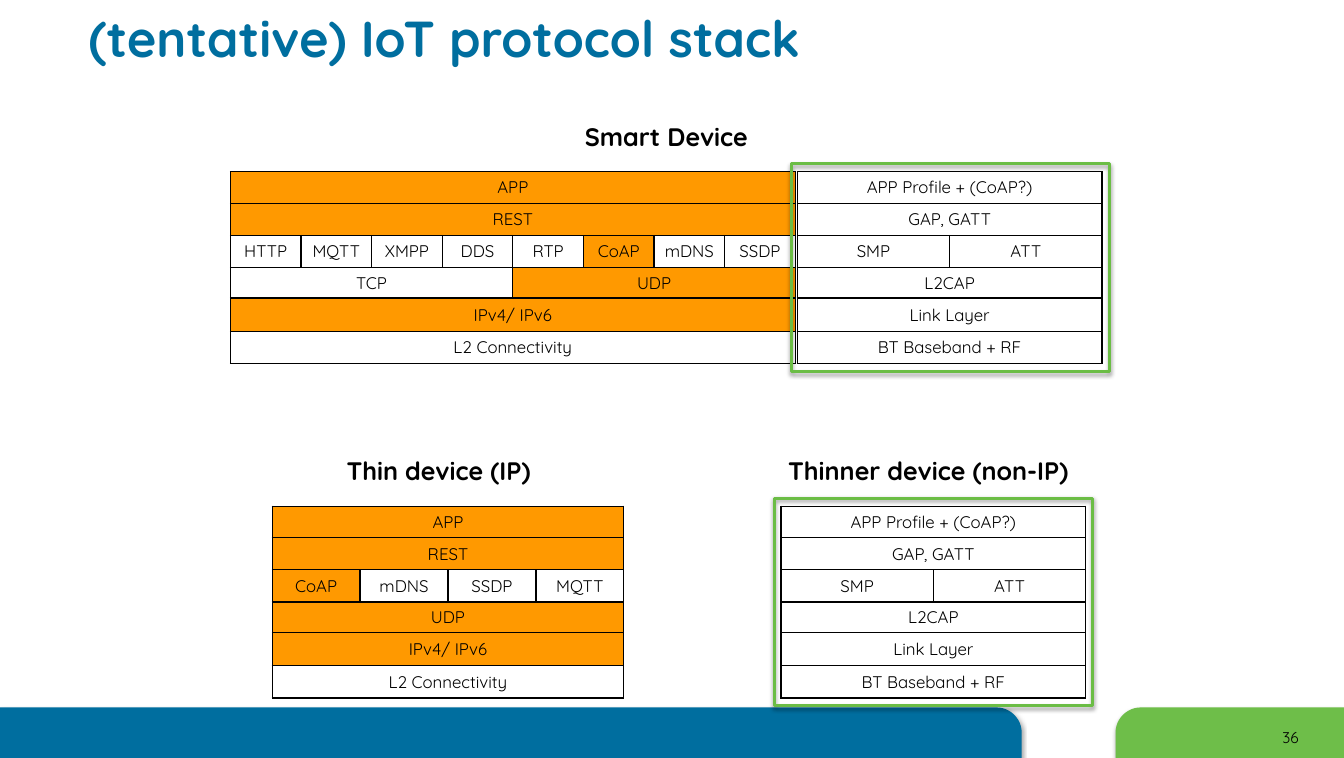
from lxml.etree import SubElement
from pptx import Presentation
from pptx.dml.color import RGBColor
from pptx.enum.shapes import MSO_SHAPE as Shape
from pptx.enum.text import MSO_ANCHOR as Anchor, PP_ALIGN as Align
from pptx.oxml.ns import qn
from pptx.util import Cm, Pt

FONT = "Quicksand"
BLACK, WHITE, BLUE = "000000", "FFFFFF", "006E9F"
GREEN, FRAME_GREEN, ORANGE = "6EBE49", "6BBD45", "FF9900"

TITLE = "(tentative) IoT protocol stack"
PAGE_NUMBER = "36"
HIGHLIGHTED = {"APP", "REST", "CoAP", "UDP", "IPv4/ IPv6"}
ROW_HEIGHTS = [0.79, 0.81, 0.81, 0.76, 0.84, 0.81]

SMART_STACK = [
    ["APP"],
    ["REST"],
    ["HTTP", "MQTT", "XMPP", "DDS", "RTP", "CoAP", "mDNS", "SSDP"],
    ["TCP", "UDP"],
    ["IPv4/ IPv6"],
    ["L2 Connectivity"],
]
THIN_STACK = [
    ["APP"],
    ["REST"],
    ["CoAP", "mDNS", "SSDP", "MQTT"],
    ["UDP"],
    ["IPv4/ IPv6"],
    ["L2 Connectivity"],
]
NON_IP_STACK = [
    ["APP Profile + (CoAP?)"],
    ["GAP, GATT"],
    ["SMP", "ATT"],
    ["L2CAP"],
    ["Link Layer"],
    ["BT Baseband + RF"],
]
UPPER_TOP, LOWER_TOP = 4.32, 12.72
STACKS = [
    (SMART_STACK, 5.79, UPPER_TOP, 14.2),
    (THIN_STACK, 6.84, LOWER_TOP, 8.84),
    (NON_IP_STACK, 19.63, LOWER_TOP, 7.66),
    (NON_IP_STACK, 20.04, UPPER_TOP, 7.66),
]
HEADINGS = [
    ("Smart Device", 14.45, UPPER_TOP, 4.65),
    ("Thin device (IP)", 8.46, LOWER_TOP, 5.28),
    ("Thinner device (non-IP)", 19.56, LOWER_TOP, 7.75),
]
HEADING_RISE, FRAME_RISE = 1.4, 0.2
FRAMES = [(19.89, UPPER_TOP), (19.46, LOWER_TOP)]
FOOTER_BARS = [(0, 25.68, BLUE, False), (28.04, 5.74, GREEN, True)]


def color(value):
    return RGBColor.from_string(value)


def write(text_frame, text, size=12, ink=BLACK, bold=False, align=Align.LEFT):
    paragraph = text_frame.paragraphs[0]
    paragraph.alignment = align
    run = paragraph.add_run()
    run.text = text
    run.font.name = FONT
    run.font.size = Pt(size)
    run.font.bold = bold
    run.font.color.rgb = color(ink)


def add_text(slide, text, left, top, width, height, wrap=True, **text_format):
    box = slide.shapes.add_textbox(Cm(left), Cm(top), Cm(width), Cm(height))
    box.text_frame.word_wrap = wrap
    box.text_frame.vertical_anchor = Anchor.MIDDLE
    write(box.text_frame, text, **text_format)


def add_shadow(shape, distance, opacity):
    shape.shadow.inherit = False
    effects = shape._element.spPr.find(qn("a:effectLst"))
    shadow = SubElement(effects, qn("a:outerShdw"), blurRad=str(Pt(3.1)),
                        dist=str(Pt(distance)), dir="5400000", rotWithShape="0")
    shade = SubElement(shadow, qn("a:srgbClr"), val=BLACK)
    SubElement(shade, qn("a:alpha"), val=str(opacity * 1000))


def add_footer_bar(slide, left, width, fill, flipped):
    bar = slide.shapes.add_shape(Shape.ROUND_1_RECTANGLE, Cm(left), Cm(17.78),
                                 Cm(width), Cm(1.27))
    bar.adjustments[0] = 0.5
    bar.fill.solid()
    bar.fill.fore_color.rgb = color(fill)
    bar.line.fill.background()
    add_shadow(bar, 1.8, 35)
    if flipped:
        bar._element.spPr.get_or_add_xfrm().set("flipH", "1")


def add_frame(slide, left, top):
    frame = slide.shapes.add_shape(Shape.RECTANGLE, Cm(left), Cm(top), Cm(8), Cm(5.21))
    frame.fill.background()
    frame.line.color.rgb = color(FRAME_GREEN)
    frame.line.width = Pt(2.25)
    add_shadow(frame, 1.6, 38)


def style_cell(cell, fill):
    cell.margin_left = cell.margin_right = cell.margin_top = cell.margin_bottom = 0
    cell.vertical_anchor = Anchor.MIDDLE
    properties = cell._tc.get_or_add_tcPr()
    for side in ("a:lnL", "a:lnR", "a:lnT", "a:lnB"):
        border = SubElement(properties, qn(side), w=str(Pt(1)))
        SubElement(SubElement(border, qn("a:solidFill")), qn("a:srgbClr"), val=BLACK)
    cell.fill.solid()
    cell.fill.fore_color.rgb = color(fill)


def add_stack(slide, stack, left, top, width):
    column_count = max(len(layer) for layer in stack)
    table = slide.shapes.add_table(len(stack), column_count, Cm(left), Cm(top),
                                   Cm(width), Cm(sum(ROW_HEIGHTS))).table
    for column in table.columns:
        column.width = Cm(width / column_count)
    for row_index, layer in enumerate(stack):
        table.rows[row_index].height = Cm(ROW_HEIGHTS[row_index])
        span = column_count // len(layer)
        for index, protocol in enumerate(layer):
            first, last = index * span, (index + 1) * span - 1
            fill = ORANGE if protocol in HIGHLIGHTED else WHITE
            for column_index in range(first, last + 1):
                cell = table.cell(row_index, column_index)
                style_cell(cell, fill)
                cell.text_frame.paragraphs[0].font.size = Pt(12)
            cell = table.cell(row_index, first)
            if span > 1:
                cell.merge(table.cell(row_index, last))
            write(cell.text_frame, protocol, align=Align.CENTER)


def main():
    presentation = Presentation()
    presentation.slide_width, presentation.slide_height = Cm(33.78), Cm(19.05)
    slide = presentation.slides.add_slide(presentation.slide_layouts[6])
    for bar in FOOTER_BARS:
        add_footer_bar(slide, *bar)
    add_text(slide, PAGE_NUMBER, 31.27, 18.17, 2.34, 0.74, size=11, align=Align.CENTER)
    add_text(slide, TITLE, 1.98, 0.06, 30.4, 1.75, size=36, ink=BLUE, bold=True)
    for heading, left, top, width in HEADINGS:
        add_text(slide, heading, left, top - HEADING_RISE, width, 1.02,
                 wrap=False, size=18, bold=True)
    for stack in STACKS:
        add_stack(slide, *stack)
    for left, top in FRAMES:
        add_frame(slide, left, top - FRAME_RISE)
    presentation.save("out.pptx")


if __name__ == "__main__":
    main()
